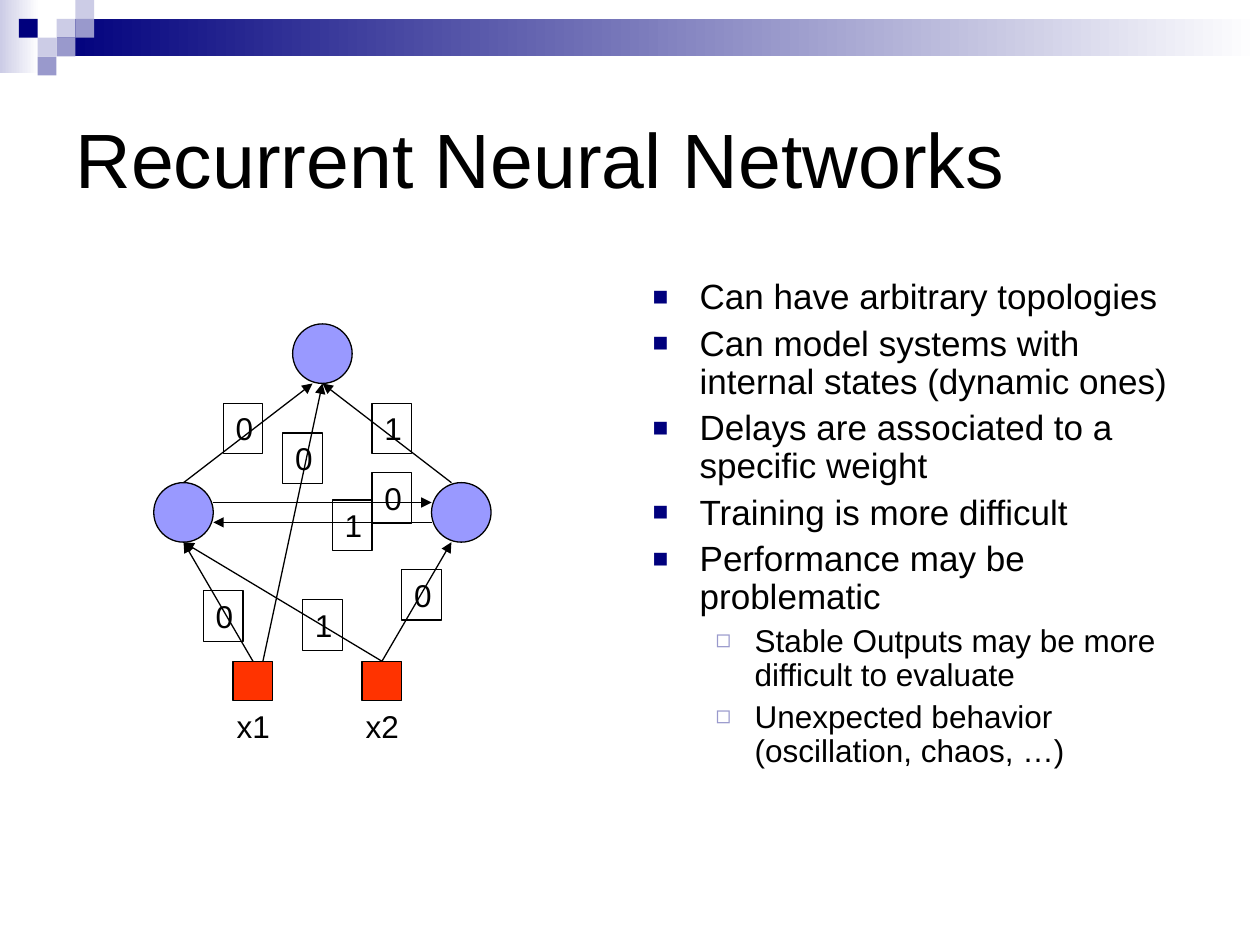
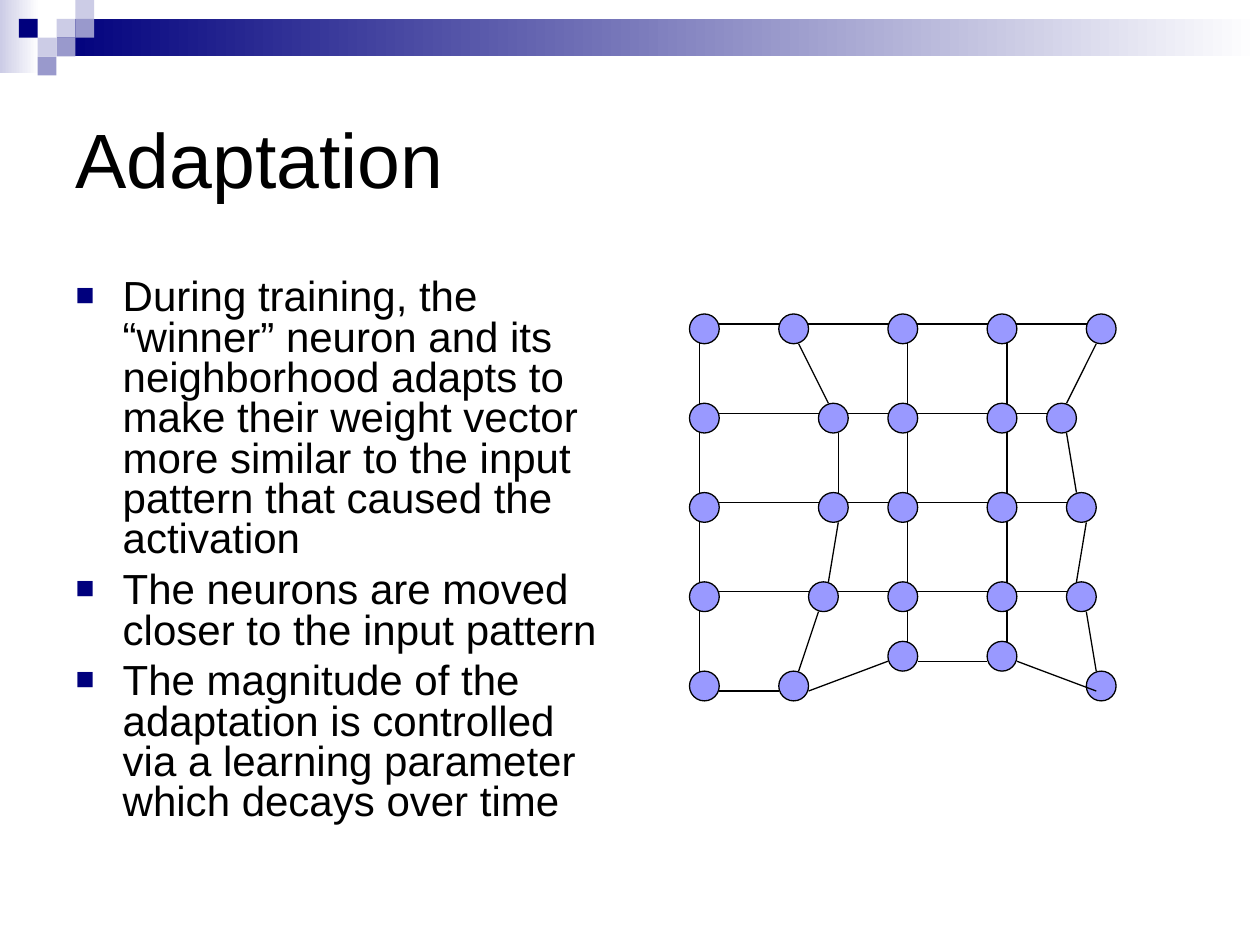
"""Build two slides on neural networks: recurrent networks and adaptation."""
from lxml import etree
from pptx import Presentation
from pptx.dml.color import RGBColor
from pptx.enum import shapes, text
from pptx.oxml import ns
from pptx.util import Cm, Pt

BLACK = RGBColor(0, 0, 0)
WHITE = RGBColor(255, 255, 255)
NAVY = RGBColor(0x00, 0x00, 0x7D)
MID = RGBColor(0x99, 0x99, 0xCC)
PALE = RGBColor(0xCC, 0xCC, 0xE6)
BLUE = RGBColor(0x99, 0x99, 0xFF)
RED = RGBColor(0xFF, 0x33, 0x00)
RECT = shapes.MSO_SHAPE.RECTANGLE
OVAL = shapes.MSO_SHAPE.OVAL

UNIT = 0.38
STRIPS = [((0, 0, 0.79, 1.47), PALE), ((1.14, 0.38, 24.26, 0.76), NAVY)]
TILES = [(3, 1, PALE), (4, 0, PALE), (4, 1, MID), (2, 2, PALE),
         (1, 1, NAVY), (3, 2, MID), (2, 3, MID)]
BULLETS = [("■", NAVY, 75, 0.95, 0.95), ("◻", MID, 80, 2.06, 0.79)]

RECUR = {
    "title": "Recurrent Neural Networks",
    "box": (12.9, 5.51, 11.23, 10.8),
    "sizes": (20, 18), "gaps": (5, 4.5), "pitch": 0.9,
    "points": [
        ("Can have arbitrary topologies", 0),
        ("Can model systems with internal states (dynamic ones)", 0),
        ("Delays are associated to a specific weight", 0),
        ("Training is more difficult", 0),
        ("Performance may be problematic", 0),
        ("Stable Outputs may be more difficult to evaluate", 1),
        ("Unexpected behavior (oscillation, chaos, …)", 1),
    ],
}
ADAPT = {
    "title": "Adaptation",
    "box": (1.27, 5.51, 11.23, 12.01),
    "sizes": (24,), "gaps": (6,), "pitch": 0.8,
    "points": [
        ("During training, the “winner” neuron and its neighborhood adapts to "
         "make their weight vector more similar to the input pattern that "
         "caused the activation", 0),
        ("The neurons are moved closer to the input pattern", 0),
        ("The magnitude of the adaptation is controlled via a learning "
         "parameter which decays over time", 0),
    ],
}

NEURONS = [(3.1, 9.73), (8.7, 9.73), (5.9, 6.53)]
INPUTS = [("x1", 4.7), ("x2", 7.3)]
INPUT_Y = 13.33
ARROWS = [
    ((3.7, 9.73), (6.3, 7.73)), ((9.1, 9.73), (6.5, 7.73)),
    ((5.3, 13.33), (6.5, 7.73)), ((4.3, 10.13), (8.7, 10.13)),
    ((8.7, 10.53), (4.3, 10.53)), ((5.1, 13.33), (3.7, 10.93)),
    ((7.7, 13.33), (3.7, 10.93)), ((7.7, 13.33), (9.1, 10.93)),
]
WEIGHTS = [("1", 7.5, 8.13), ("0", 8.1, 11.48), ("1", 6.1, 12.09),
           ("0", 4.1, 11.91), ("1", 6.7, 10.08), ("0", 7.5, 9.53),
           ("0", 5.7, 8.73), ("0", 4.5, 8.13)]

DOT = 0.6
ROWS = [[13.9, 15.7, 17.9, 19.9, 21.9], [13.9, 16.5, 17.9, 19.9, 21.1],
        [13.9, 16.5, 17.9, 19.9, 21.5], [13.9, 16.3, 17.9, 19.9, 21.5],
        [13.9, 15.7, 17.9, 19.9, 21.9]]
LIFT = [0, 0, 0.6, 0.6, 0]
STEEP = {1: [(0.4, 0.2), (0.4, 0.4), (0.4, 0.4), (0.2, 0.4)],
         4: [(0.2, 0.4), (0.4, 0.2), (0.4, 0.2), (0.4, 0.2)]}
STRAIGHT = {0: 0.2, 2: 0.4, 3: 0.4}


def write(para, words, size=18, mark=None, gap=0, pitch=None):
    """Put formatted words into a paragraph, with a bullet if given."""
    para.text = words
    para.alignment = text.PP_ALIGN.LEFT
    if mark:
        char, tint, scale, left, hang = mark
        props = para._p.get_or_add_pPr()
        props.set("marL", str(Cm(left)))
        props.set("indent", str(-Cm(hang)))
        color = etree.SubElement(props, ns.qn("a:buClr"))
        etree.SubElement(color, ns.qn("a:srgbClr"), val=str(tint))
        etree.SubElement(props, ns.qn("a:buSzPct"), val=str(scale * 1000))
        etree.SubElement(props, ns.qn("a:buFont"), typeface="Arial")
        etree.SubElement(props, ns.qn("a:buChar"), char=char)
    para.space_before = Pt(gap)
    if pitch:
        para.line_spacing = pitch
    para.font.size = Pt(size)
    para.font.name = "Arial"
    para.font.color.rgb = BLACK


def place(shape, box):
    """Move a placeholder to a box and fix its text size."""
    shape.left, shape.top, shape.width, shape.height = map(Cm, box)
    shape.text_frame.auto_size = text.MSO_AUTO_SIZE.NONE
    return shape.text_frame


def draw(host, kind, box, fill, edge=True):
    """Add a flat shape."""
    shape = host.add_shape(kind, *map(Cm, box))
    shape.shadow.inherit = False
    shape.fill.solid()
    shape.fill.fore_color.rgb = fill
    if edge:
        outline(shape)
    else:
        shape.line.fill.background()
    return shape


def outline(shape):
    """Give a shape a thin black line."""
    shape.line.color.rgb = BLACK
    shape.line.width = Pt(0.75)


def link(slide, start, end, arrow=False):
    """Join two points with a line or an arrow."""
    line = slide.shapes.add_connector(
        shapes.MSO_CONNECTOR.STRAIGHT, *map(Cm, (*start, *end)))
    outline(line)
    if arrow:
        etree.SubElement(line.get_or_add_ln(), ns.qn("a:tailEnd"),
                         type="triangle")
    etree.SubElement(line._element.spPr, ns.qn("a:effectLst"))


def label(slide, words, box, frame=False):
    """Add a short label, framed on request."""
    shape = slide.shapes.add_textbox(*map(Cm, box))
    shape.text_frame.word_wrap = False
    write(shape.text_frame.paragraphs[0], words)
    if frame:
        outline(shape)


def begin(deck, page):
    """Start a slide with its band, title and list."""
    slide = deck.slides.add_slide(deck.slide_layouts[1])
    band = slide.shapes.add_group_shape().shapes
    for box, tint in STRIPS:
        strip = draw(band, RECT, box, tint, edge=False)
        strip.fill.gradient()
        strip.fill.gradient_angle = 0
        for stop, shade in zip(strip.fill.gradient_stops, (tint, WHITE)):
            stop.color.rgb = shade
    for col, row, tint in TILES:
        draw(band, RECT, (col * UNIT, row * UNIT, UNIT, UNIT), tint, edge=False)
    head = place(slide.shapes.title, (1.27, 1.27, 22.86, 3.81))
    head.vertical_anchor = text.MSO_ANCHOR.MIDDLE
    write(head.paragraphs[0], page["title"], size=44)
    body = place(slide.placeholders[1], page["box"])
    for i, (words, level) in enumerate(page["points"]):
        para = body.add_paragraph() if i else body.paragraphs[0]
        para.level = level
        write(para, words, size=page["sizes"][level], mark=BULLETS[level],
              gap=page["gaps"][level] if i else 0, pitch=page["pitch"])
    return slide


def recur(slide):
    """Draw the recurrent network."""
    for x, y in NEURONS:
        draw(slide.shapes, OVAL, (x, y, 1.2, 1.2), BLUE)
    for name, x in INPUTS:
        draw(slide.shapes, RECT, (x, INPUT_Y, 0.8, 0.8), RED)
        label(slide, name, (x - 0.18, INPUT_Y + 0.8, 1.17, 1.02))
    for start, end in ARROWS:
        link(slide, start, end, arrow=True)
    for value, x, y in WEIGHTS:
        label(slide, value, (x, y, 0.8, 1.02), frame=True)


def adapt(slide):
    """Draw the bent grid of neurons."""
    grid = [[(x, 6.33 + 1.8 * r - (LIFT[c] if r == 4 else 0))
             for c, x in enumerate(row)] for r, row in enumerate(ROWS)]
    for row in grid[:4]:
        (x, y), (far, _) = row[0], row[-1]
        link(slide, (x + 0.2, y + 0.2), (far + 0.4, y + 0.2))
    for col, shift in STRAIGHT.items():
        (x, y), (_, low) = grid[0][col], grid[4][col]
        link(slide, (x + shift, y + 0.2), (x + shift, low + 0.4))
    for x, y in sum(grid, []):
        draw(slide.shapes, OVAL, (x, y, DOT, DOT), BLUE)
    for col, shifts in STEEP.items():
        for r, (out, into) in enumerate(shifts):
            (x, y), (x2, y2) = grid[r][col], grid[r + 1][col]
            link(slide, (x + out, y + DOT), (x2 + into, y2))
    last = grid[4]
    for (x, y), (x2, y2) in zip(last, last[1:]):
        end = x2 + (0.2 if x2 == last[-1][0] else 0)
        link(slide, (x + DOT, y + 0.4), (end, y2 + 0.4))


def main():
    """Build and save the deck."""
    deck = Presentation()
    deck.slide_width, deck.slide_height = Cm(25.4), Cm(19.05)
    recur(begin(deck, RECUR))
    adapt(begin(deck, ADAPT))
    deck.save("out.pptx")


if __name__ == "__main__":
    main()
